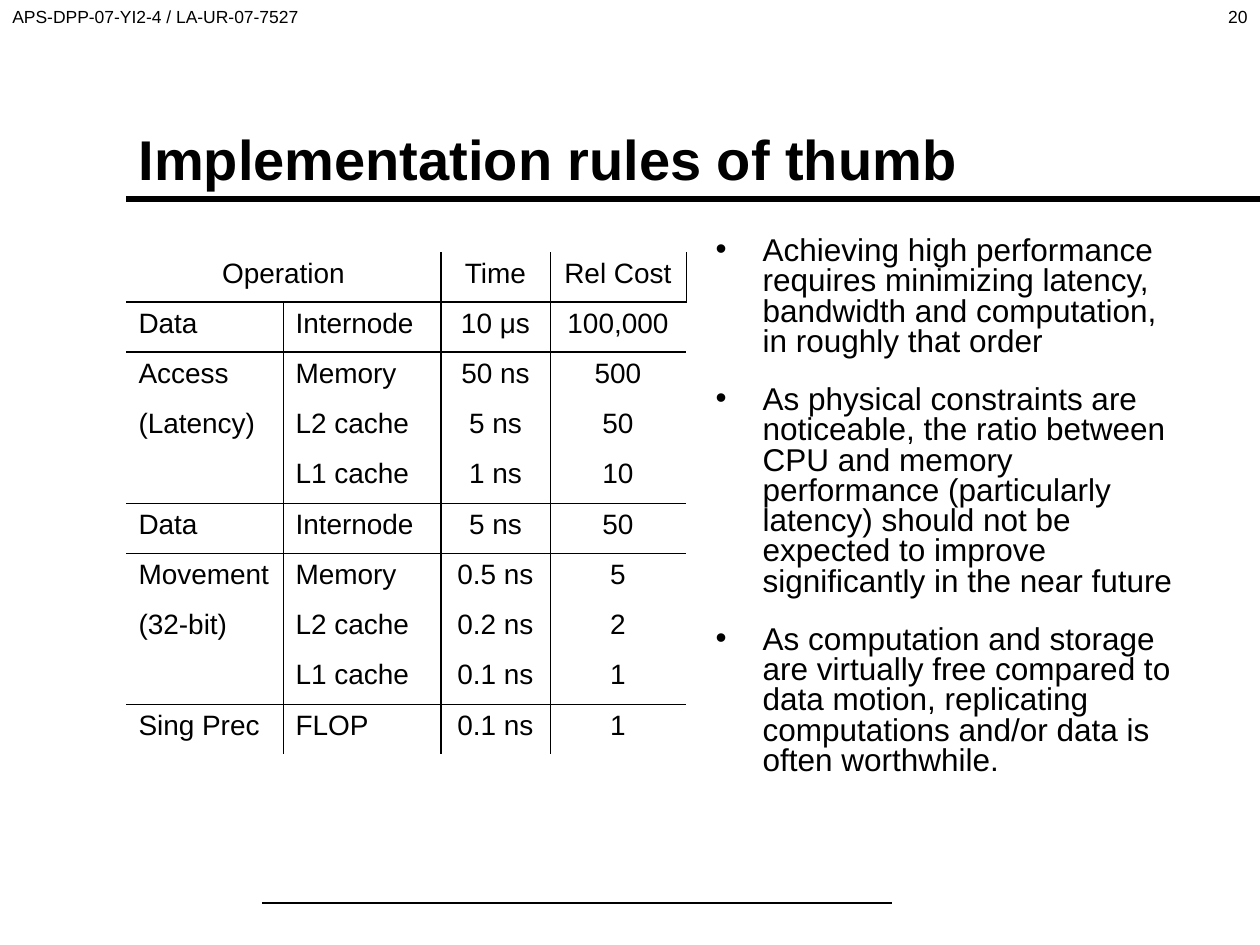
import lxml.etree
import pptx
import pptx.dml.color
import pptx.enum.shapes
import pptx.enum.text
import pptx.oxml
import pptx.oxml.ns
import pptx.util

BLACK = pptx.dml.color.RGBColor(0, 0, 0)
WHITE = pptx.dml.color.RGBColor(255, 255, 255)
ALIGN = pptx.enum.text.PP_ALIGN
ANCHOR = pptx.enum.text.MSO_ANCHOR
NS = pptx.oxml.ns.nsdecls("a")
SCALE = pptx.util.Inches(1) / 126


def px(length):
    return pptx.util.Emu(round(length * SCALE))


def write(paragraph, text, size, align=ALIGN.LEFT, bold=False):
    paragraph.alignment = align
    run = paragraph.add_run()
    run.text = text
    run.font.name = "Arial"
    run.font.size = pptx.util.Pt(size)
    run.font.bold = bold
    run.font.color.rgb = BLACK


deck = pptx.Presentation()
deck.slide_width, deck.slide_height = px(1260), px(945)
slide = deck.slides.add_slide(deck.slide_layouts[1])
slide.background.fill.solid()
slide.background.fill.fore_color.rgb = WHITE

for left, right, y, weight in [(262, 892, 903, 1.5), (126, 1260, 199, 3)]:
    rule = slide.shapes.add_connector(
        pptx.enum.shapes.MSO_CONNECTOR.STRAIGHT, px(left), px(y), px(right), px(y))
    rule.line.color.rgb = BLACK
    rule.line.width = pptx.util.Pt(weight)
    lxml.etree.SubElement(rule._element.spPr, pptx.oxml.ns.qn("a:effectLst"))

title = slide.shapes.title
title.left, title.top, title.width, title.height = px(126), px(116), px(1008), px(84)
title.text_frame.auto_size = pptx.enum.text.MSO_AUTO_SIZE.NONE
title.text_frame.vertical_anchor = ANCHOR.MIDDLE
write(title.text_frame.paragraphs[0], "Implementation rules of thumb", 32, bold=True)

lessons = [
    "Achieving high performance requires minimizing latency, bandwidth and computation, "
    "in roughly that order",
    "As physical constraints are noticeable, the ratio between CPU and memory performance "
    "(particularly latency) should not be expected to improve significantly in the near future",
    "As computation and storage are virtually free compared to data motion, replicating "
    "computations and/or data is often worthwhile.",
]
body = slide.placeholders[1]
body.left, body.top, body.width, body.height = px(703), px(231), px(494), px(588)
body.text_frame.auto_size = pptx.enum.text.MSO_AUTO_SIZE.NONE
for index, lesson in enumerate(lessons):
    paragraph = body.text_frame.add_paragraph() if index else body.text_frame.paragraphs[0]
    properties = paragraph._p.get_or_add_pPr()
    properties.set("marL", str(px(47)))
    properties.set("indent", str(px(-47)))
    for bullet in (f'<a:buClr {NS}><a:srgbClr val="{BLACK}"/></a:buClr>',
                   f'<a:buFont {NS} typeface="Arial"/>',
                   f'<a:buChar {NS} char="•"/>'):
        properties.append(pptx.oxml.parse_xml(bullet))
    paragraph.line_spacing = 0.8
    paragraph.space_before = pptx.util.Pt(16 if index else 0)
    write(paragraph, lesson, 18)

costs = [
    ("Operation", "", "Time", "Rel Cost"),
    ("Data", "Internode", "10 μs", "100,000"),
    ("Access", "Memory", "50 ns", "500"),
    ("(Latency)", "L2 cache", "5 ns", "50"),
    ("", "L1 cache", "1 ns", "10"),
    ("Data", "Internode", "5 ns", "50"),
    ("Movement", "Memory", "0.5 ns", "5"),
    ("(32-bit)", "L2 cache", "0.2 ns", "2"),
    ("", "L1 cache", "0.1 ns", "1"),
    ("Sing Prec", "FLOP", "0.1 ns", "1"),
]
column_widths = [157, 158, 109, 136]
row_height = 50
column_rules = {0: 0.45, 1: 1.08, 2: 0.45}
row_rules = {0: 1.08, 4: 0.45, 8: 0.45}

table = slide.shapes.add_table(
    len(costs), len(column_widths), px(126), px(252),
    px(sum(column_widths)), px(row_height * len(costs))).table
table.first_row = table.horz_banding = False
style = table._tbl.tblPr.find(pptx.oxml.ns.qn("a:tableStyleId"))
style.text = "{2D5ABB26-0587-4C30-8999-92F81FD0307C}"
for column, width in zip(table.columns, column_widths):
    column.width = px(width)
for row in table.rows:
    row.height = px(row_height)
table.cell(0, 0).merge(table.cell(0, 1))

for r, values in enumerate(costs):
    for c, value in enumerate(values):
        cell = table.cell(r, c)
        merged = r == 0 and c < 2
        edges = {
            "lnL": None if merged else column_rules.get(c - 1),
            "lnR": column_rules[1] if merged else column_rules.get(c),
            "lnT": row_rules.get(r - 1),
            "lnB": row_rules.get(r),
        }
        for edge, weight in edges.items():
            if weight:
                cell._tc.get_or_add_tcPr().append(pptx.oxml.parse_xml(
                    f'<a:{edge} {NS} w="{pptx.util.Pt(weight)}"><a:solidFill>'
                    f'<a:srgbClr val="{BLACK}"/></a:solidFill></a:{edge}>'))
        cell.fill.background()
        if value:
            align = ALIGN.CENTER if r == 0 or c > 1 else ALIGN.LEFT
            write(cell.text_frame.paragraphs[0], value, 16, align)

for left, text, align in [(945, "20", ALIGN.RIGHT),
                          (0, "APS-DPP-07-YI2-4 / LA-UR-07-7527", ALIGN.LEFT)]:
    header = slide.shapes.add_textbox(px(left), 0, px(315), px(53))
    header.text_frame.word_wrap = True
    write(header.text_frame.paragraphs[0], text, 10, align)

deck.save("out.pptx")
